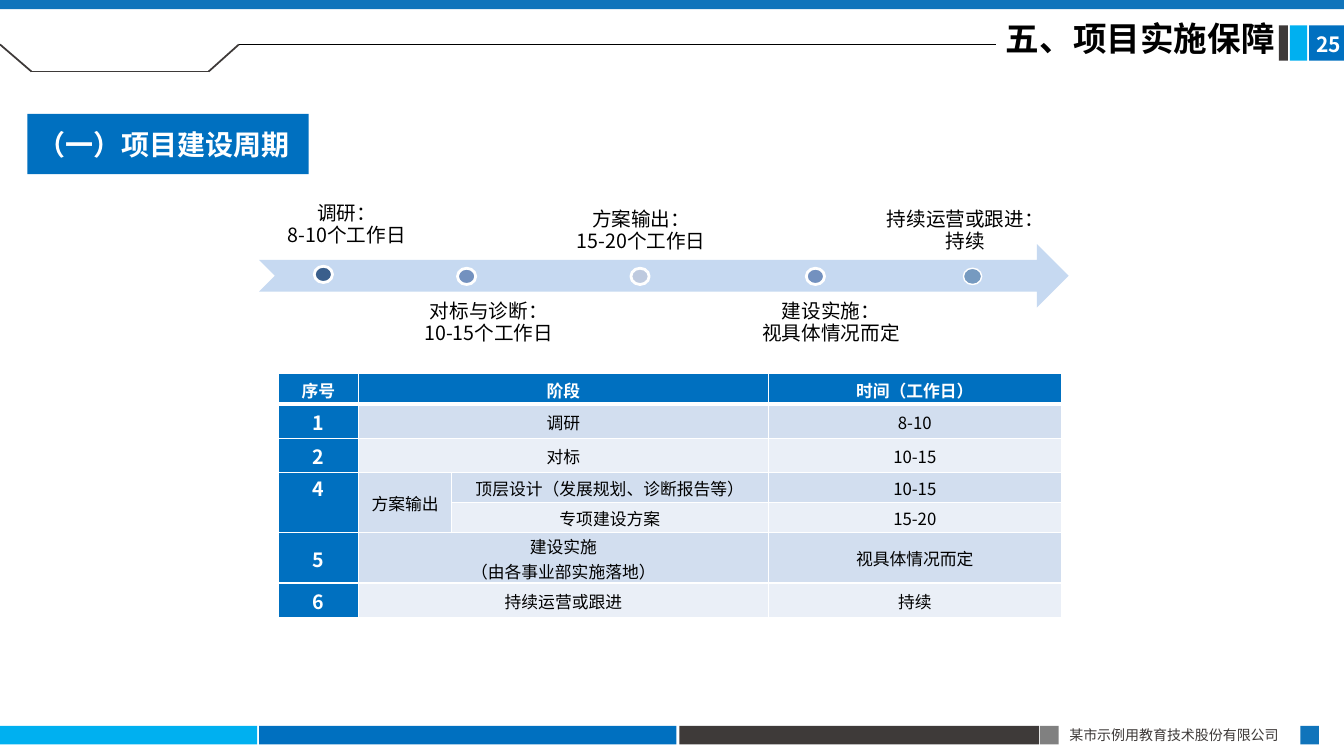
"""Build the project schedule slide with its timeline and stage table."""
from dataclasses import dataclass
from typing import Any

from lxml.etree import SubElement
from pptx import Presentation
from pptx.dml.color import RGBColor
from pptx.enum.shapes import MSO_CONNECTOR as Link, MSO_SHAPE as Shape
from pptx.enum.text import MSO_ANCHOR as Anchor, MSO_AUTO_SIZE as AutoSize, PP_ALIGN as Align
from pptx.oxml.ns import qn
from pptx.util import Cm, Pt

FONT = "Noto Sans CJK SC"
WHITE, BLACK, DARK = "FFFFFF", "000000", "3E3A39"
BLUE, SKY, TRIM = "0070C0", "00B0F0", "1074BB"
PALE, PALER = "D2DEEF", "EAEFF7"


@dataclass(frozen=True)
class Area:
    left: float
    top: float
    width: float
    height: float

    def lengths(self) -> tuple[Cm, Cm, Cm, Cm]:
        return Cm(self.left), Cm(self.top), Cm(self.width), Cm(self.height)


@dataclass(frozen=True)
class Style:
    size: float
    color: str = BLACK
    bold: bool = False
    align: Any = Align.LEFT
    font: str = FONT
    line_spacing: Any = None
    space_after: float = 0


@dataclass(frozen=True)
class Block:
    area: Area
    color: str


@dataclass(frozen=True)
class Milestone:
    text: str
    label: Area
    anchor: Any
    dot_left: float
    dot_top: float
    dot_color: str
    outline: float = 2


@dataclass(frozen=True)
class Rule:
    color: str
    width: float


FOOTER_TOP, FOOTER_HEIGHT = 18.29, 0.47
BADGE_TOP, BADGE_HEIGHT = 0.64, 0.89
BLOCKS = [
    Block(Area(0, 0, 33.87, 0.23), TRIM),
    *(Block(Area(left, FOOTER_TOP, width, FOOTER_HEIGHT), color) for left, width, color in [
        (0, 6.48, SKY), (6.53, 10.52, BLUE), (17.12, 9.07, DARK),
        (26.21, 0.47, "808080"), (32.77, 0.47, TRIM)]),
    *(Block(Area(left, BADGE_TOP, width, BADGE_HEIGHT), color) for left, width, color in [
        (32.99, 0.88, BLUE), (32.51, 0.43, SKY), (32.23, 0.23, DARK)]),
]
MILESTONES = [
    Milestone("调研：\n8-10个工作日", Area(6.53, 5, 4.42, 1.42), Anchor.BOTTOM, 7.92, 6.71, "3A5F8C"),
    Milestone("对标与诊断：\n10-15个工作日", Area(10.11, 7.54, 4.42, 1.6), Anchor.TOP, 11.53, 6.76, "7391BF"),
    Milestone("方案输出：\n15-20个工作日", Area(14, 4.95, 4.32, 1.6), Anchor.BOTTOM, 15.9, 6.76, "BECADF"),
    Milestone("建设实施：\n视具体情况而定", Area(18.47, 7.54, 4.95, 1.6), Anchor.TOP, 20.32, 6.76, "7391BF"),
    Milestone("持续运营或跟进：\n持续", Area(22.12, 4.95, 4.42, 1.6), Anchor.BOTTOM, 24.28, 6.76, "769AC0", 1),
]
HEADER_POINTS = [(0, 1.12), (0.79, 1.8), (5.26, 1.8), (6.02, 1.12), (25.1, 1.12)]
HEADER_RULES = [Rule(DARK, 1.25)] * 3 + [Rule(BLACK, 0.5)]
COLUMN_WIDTHS = [2.03, 2.34, 7.98, 7.39]
ROW_HEIGHTS = [0.76, 0.86, 0.86, 0.76, 0.76, 1.27, 0.86]
STAGES = [
    ["序号", "阶段", "", "时间（工作日）"],
    ["1", "调研", "", "8-10"],
    ["2", "对标", "", "10-15"],
    ["4", "方案输出", "顶层设计（发展规划、诊断报告等）", "10-15"],
    ["", "", "专项建设方案", "15-20"],
    ["5", "建设实施\n（由各事业部实施落地）", "", "视具体情况而定"],
    ["6", "持续运营或跟进", "", "持续"],
]
MERGES = [((row, 1), (row, 2)) for row in (0, 1, 2, 5, 6)] + [((3, column), (4, column)) for column in (0, 1)]


def paint(target: Any, color: str) -> None:
    target.solid()
    target.fore_color.rgb = RGBColor.from_string(color)


def write(frame: Any, text: str, style: Style) -> None:
    for index, line in enumerate(text.split("\n")):
        para = frame.add_paragraph() if index else frame.paragraphs[0]
        para.alignment = style.align
        para.space_before = Pt(0)
        para.space_after = Pt(style.space_after)
        if style.line_spacing:
            para.line_spacing = style.line_spacing
        span = para.add_run()
        span.text = line
        span.font.size = Pt(style.size)
        span.font.bold = style.bold
        span.font.name = style.font
        paint(span.font.fill, style.color)
        SubElement(span.font._element, qn("a:ea"), typeface=FONT)


def set_frame(frame: Any, anchor: Any, across: float = 0.25, down: float = 0.13) -> None:
    frame.word_wrap = True
    frame.auto_size = AutoSize.NONE
    frame.vertical_anchor = anchor
    frame.margin_left = frame.margin_right = Cm(across)
    frame.margin_top = frame.margin_bottom = Cm(down)


def add_block(page: Any, area: Area, color: str, kind: Any = Shape.RECTANGLE, outline: float = 0) -> Any:
    block = page.shapes.add_shape(kind, *area.lengths())
    block.shadow.inherit = False
    paint(block.fill, color)
    if outline:
        paint(block.line.fill, WHITE)
        block.line.width = Pt(outline)
    else:
        block.line.fill.background()
    return block


def add_label(page: Any, area: Area, text: str, style: Style, anchor: Any = Anchor.TOP,
              across: float = 0.25, down: float = 0.13) -> None:
    box = page.shapes.add_textbox(*area.lengths())
    set_frame(box.text_frame, anchor, across, down)
    write(box.text_frame, text, style)


def add_header_line(page: Any, start: tuple, end: tuple, rule: Rule) -> None:
    line = page.shapes.add_connector(Link.STRAIGHT, *(Cm(value) for value in start + end))
    paint(line.line.fill, rule.color)
    line.line.width = Pt(rule.width)
    SubElement(line._element.spPr, qn("a:effectLst"))


def add_borders(cell: Any, row: int) -> None:
    properties = cell._tc.get_or_add_tcPr()
    for side in "LRTB":
        heavy = (row, side) in ((0, "B"), (1, "T"))
        edge = SubElement(properties, qn(f"a:ln{side}"), w=str(int(Pt(3 if heavy else 1))))
        SubElement(SubElement(edge, qn("a:solidFill")), qn("a:srgbClr"), val=WHITE)


def add_stage_table(page: Any) -> None:
    area = Area(7.01, 9.42, sum(COLUMN_WIDTHS), sum(ROW_HEIGHTS))
    table = page.shapes.add_table(len(STAGES), len(COLUMN_WIDTHS), *area.lengths()).table
    table.horz_banding = False
    for column, width in zip(table.columns, COLUMN_WIDTHS):
        column.width = Cm(width)
    for row, height in zip(table.rows, ROW_HEIGHTS):
        row.height = Cm(height)
    for row, texts in enumerate(STAGES):
        for column, text in enumerate(texts):
            cell = table.cell(row, column)
            strong = row == 0 or column == 0
            add_borders(cell, row)
            paint(cell.fill, BLUE if strong else PALE if row % 2 else PALER)
            cell.margin_top, cell.margin_bottom = Cm(0.04), Cm(0)
            cell.vertical_anchor = Anchor.TOP if text == "4" else Anchor.MIDDLE
            if text:
                size = 14 if row and column == 0 else 12
                write(cell.text_frame, text, Style(size, WHITE if strong else BLACK, strong, Align.CENTER))
    for first, last in MERGES:
        table.cell(*first).merge(table.cell(*last))


def add_timeline(page: Any) -> None:
    add_block(page, Area(6.53, 6.15, 20.4, 1.6), "C6D9F1", Shape.NOTCHED_RIGHT_ARROW)
    style = Style(14, align=Align.CENTER, line_spacing=Pt(10.8), space_after=4.9)
    for stone in MILESTONES:
        add_label(page, stone.label, stone.text, style, stone.anchor, 0.2, 0.2)
        dot = Area(stone.dot_left, stone.dot_top, 0.46, 0.41)
        add_block(page, dot, stone.dot_color, Shape.OVAL, stone.outline)


def main() -> None:
    deck = Presentation()
    deck.slide_width, deck.slide_height = Cm(33.87), Cm(19.05)
    page = deck.slides.add_slide(deck.slide_layouts[5])
    title = page.shapes.title
    title.left, title.top, title.width, title.height = Area(25.1, 0.43, 7.57, 1.27).lengths()
    set_frame(title.text_frame, Anchor.TOP)
    write(title.text_frame, "五、项目实施保障", Style(24, bold=True, line_spacing=0.9))
    for block in BLOCKS:
        add_block(page, block.area, block.color)
    add_label(page, Area(26.7, 18.19, 6.1, 0.69), "某市示例用教育技术股份有限公司", Style(10, DARK, align=Align.JUSTIFY))
    add_label(page, Area(32.92, 0.66, 1.27, 0.89), "25", Style(15, WHITE, True))
    add_stage_table(page)
    add_timeline(page)
    section = add_block(page, Area(0.69, 2.87, 7.09, 1.52), BLUE)
    set_frame(section.text_frame, Anchor.MIDDLE)
    write(section.text_frame, "（一）项目建设周期", Style(20, WHITE, True, font="Calibri"))
    for start, end, rule in zip(HEADER_POINTS, HEADER_POINTS[1:], HEADER_RULES):
        add_header_line(page, start, end, rule)
    deck.save("out.pptx")


if __name__ == "__main__":
    main()
